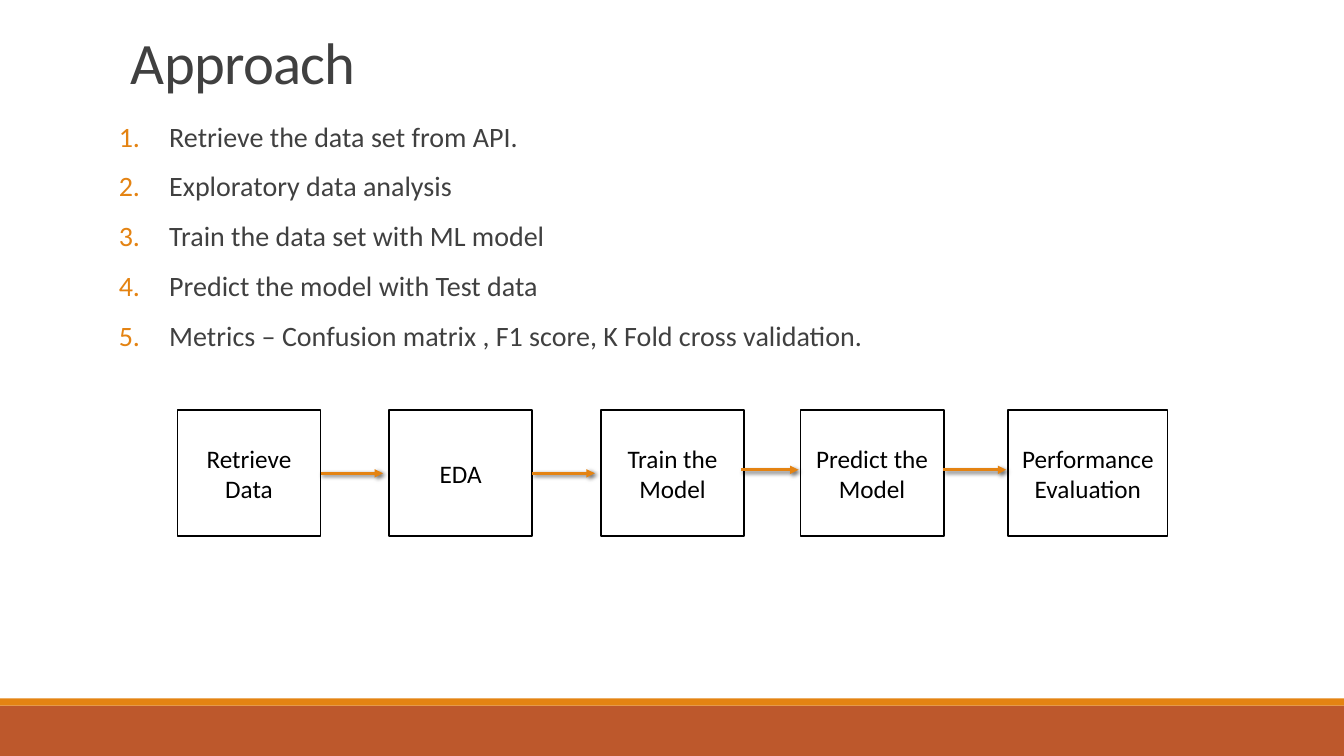
"""Build the Approach slide: a numbered list above a five-step process flow."""
from dataclasses import dataclass

import pptx
import pptx.dml.color
import pptx.enum.shapes
import pptx.enum.text
import pptx.oxml
import pptx.oxml.ns
import pptx.util


@dataclass(frozen=True)
class Theme:
    """Colours, type and line sizes of the slide."""
    font: str = "Calibri"
    text: str = "404040"
    ink: str = "000000"
    paper: str = "FFFFFF"
    accent: str = "E48312"
    band: str = "BD582C"
    title_size: float = 41.9
    list_size: float = 20
    step_size: float = 18
    border: float = 1.25
    arrow: float = 2


@dataclass(frozen=True)
class Box:
    """An area of the slide in EMU."""
    left: int
    top: int
    width: int
    height: int

    def inner(self, left, top, width, height):
        """Return an inner area given in percent of this one."""
        return Box(self.x(left), self.y(top),
                   round(self.width * width / 100), round(self.height * height / 100))

    def x(self, percent):
        """Return the horizontal position at a percentage of the width."""
        return round(self.left + self.width * percent / 100)

    def y(self, percent):
        """Return the vertical position at a percentage of the height."""
        return round(self.top + self.height * percent / 100)

    def frame(self):
        """Return the area as positional arguments for a shape."""
        return self.left, self.top, self.width, self.height


THEME = Theme()
TITLE = "Approach"
POINTS = [
    "Retrieve the data set from API.",
    "Exploratory data analysis",
    "Train the data set with ML model",
    "Predict the model with Test data",
    "Metrics – Confusion matrix , F1 score, K Fold cross validation.",
]
STEPS = [
    ("Retrieve Data", 0, 14.46),
    ("EDA", 21.38, 14.46),
    ("Train the Model", 42.77, 14.46),
    ("Predict the Model", 62.93, 14.46),
    ("Performance Evaluation", 83.91, 16.09),
]
ARROWS = [(0, 0.61, 50), (0, 0.61, 50), (0.3, 0.2, 47.2), (0.1, 0.2, 47.2)]


def color(value):
    """Return the colour for a hexadecimal value."""
    return pptx.dml.color.RGBColor.from_string(value)


def apply(target, values):
    """Set each attribute in a dict of format values."""
    for name, value in values.items():
        setattr(target, name, value)


def xml(markup):
    """Parse one drawing element."""
    namespace = pptx.oxml.ns.nsdecls("a")
    return pptx.oxml.parse_xml(markup.replace(">", f" {namespace}>", 1))


def write(paragraph, text, size, fill, **formats):
    """Write one formatted run and return it."""
    apply(paragraph, formats)
    run = paragraph.add_run()
    run.text = text
    apply(run.font, {"name": THEME.font, "size": pptx.util.Pt(size)})
    run.font.color.rgb = color(fill)
    return run


def rectangle(slide, box, fill, line=None):
    """Add a flat rectangle with an optional border."""
    shape = slide.shapes.add_shape(pptx.enum.shapes.MSO_SHAPE.RECTANGLE, *box.frame())
    shape.shadow.inherit = False
    shape.fill.solid()
    shape.fill.fore_color.rgb = color(fill)
    if line:
        shape.line.color.rgb = color(line)
        shape.line.width = pptx.util.Pt(THEME.border)
    else:
        shape.line.fill.background()
    return shape


def add_footer(slide, box):
    """Place the bottom band and the stripe on top of it."""
    rectangle(slide, box.inner(0, 12.28, 100, 87.72), THEME.band)
    rectangle(slide, box.inner(0, 0, 100, 12.28), THEME.accent)


def add_title(slide, box):
    """Place the slide title at the bottom of its box."""
    frame = slide.shapes.add_textbox(*box.frame()).text_frame
    apply(frame, {"word_wrap": True,
                  "vertical_anchor": pptx.enum.text.MSO_ANCHOR.BOTTOM})
    run = write(frame.paragraphs[0], TITLE, THEME.title_size, THEME.text,
                line_spacing=0.75)
    run.font._element.set("spc", "-50")


def add_points(slide, box):
    """Place the numbered list."""
    frame = slide.shapes.add_textbox(*box.frame()).text_frame
    frame.word_wrap = True
    indent = pptx.util.Inches(0.5)
    for index, point in enumerate(POINTS):
        paragraph = frame.add_paragraph() if index else frame.paragraphs[0]
        write(paragraph, point, THEME.list_size, THEME.text, line_spacing=0.9,
              space_before=pptx.util.Pt(12), space_after=pptx.util.Pt(2))
        properties = paragraph._p.get_or_add_pPr()
        properties.set("marL", str(indent))
        properties.set("indent", str(-indent))
        properties.append(xml(f'<a:buClr><a:srgbClr val="{THEME.accent}"/></a:buClr>'))
        properties.append(xml('<a:buFont typeface="+mj-lt"></a:buFont>'))
        properties.append(xml('<a:buAutoNum type="arabicPeriod"></a:buAutoNum>'))


def add_step(slide, box, label):
    """Place one step of the flow."""
    step = rectangle(slide, box, THEME.paper, THEME.ink)
    apply(step.text_frame, {"word_wrap": True,
                            "vertical_anchor": pptx.enum.text.MSO_ANCHOR.MIDDLE})
    write(step.text_frame.paragraphs[0], label, THEME.step_size, THEME.ink,
          alignment=pptx.enum.text.PP_ALIGN.CENTER)
    return step


def add_arrow(slide, start, end, height):
    """Place one shadowed horizontal arrow."""
    arrow = slide.shapes.add_connector(
        pptx.enum.shapes.MSO_CONNECTOR.STRAIGHT, start, height, end, height)
    arrow.line.color.rgb = color(THEME.accent)
    arrow.line.width = pptx.util.Pt(THEME.arrow)
    arrow.line._get_or_add_ln().append(xml('<a:tailEnd type="triangle"></a:tailEnd>'))
    arrow._element.spPr.append(xml(
        '<a:effectLst><a:outerShdw blurRad="38100" dist="25400" dir="2700000" '
        f'algn="tl" rotWithShape="0"><a:srgbClr val="{THEME.ink}">'
        '<a:alpha val="60000"/></a:srgbClr></a:outerShdw></a:effectLst>'))
    return arrow


def add_flow(slide, box):
    """Place the process steps and the arrows between them."""
    steps = [add_step(slide, box.inner(left, 0, width, 100), label)
             for label, left, width in STEPS]
    for index, (overlap, gap, height) in enumerate(ARROWS):
        _, left, width = STEPS[index]
        arrow = add_arrow(slide, box.x(left + width - overlap),
                          box.x(STEPS[index + 1][1] - gap), box.y(height))
        if not overlap:
            arrow.begin_connect(steps[index], 3)


def main():
    """Build and save the presentation."""
    presentation = pptx.Presentation()
    apply(presentation, {"slide_width": pptx.util.Inches(13.33),
                         "slide_height": pptx.util.Inches(7.5)})
    slide = presentation.slides.add_slide(presentation.slide_layouts[6])
    page = Box(0, 0, presentation.slide_width, presentation.slide_height)
    add_footer(slide, page.inner(0, 92.4, 100, 7.6))
    add_title(slide, page.inner(9, 4.13, 82.5, 9.07))
    add_points(slide, page.inner(8.1, 15.6, 82.5, 76.4))
    add_flow(slide, page.inner(13.2, 54.27, 73.67, 16.67))
    presentation.save("out.pptx")


if __name__ == "__main__":
    main()
